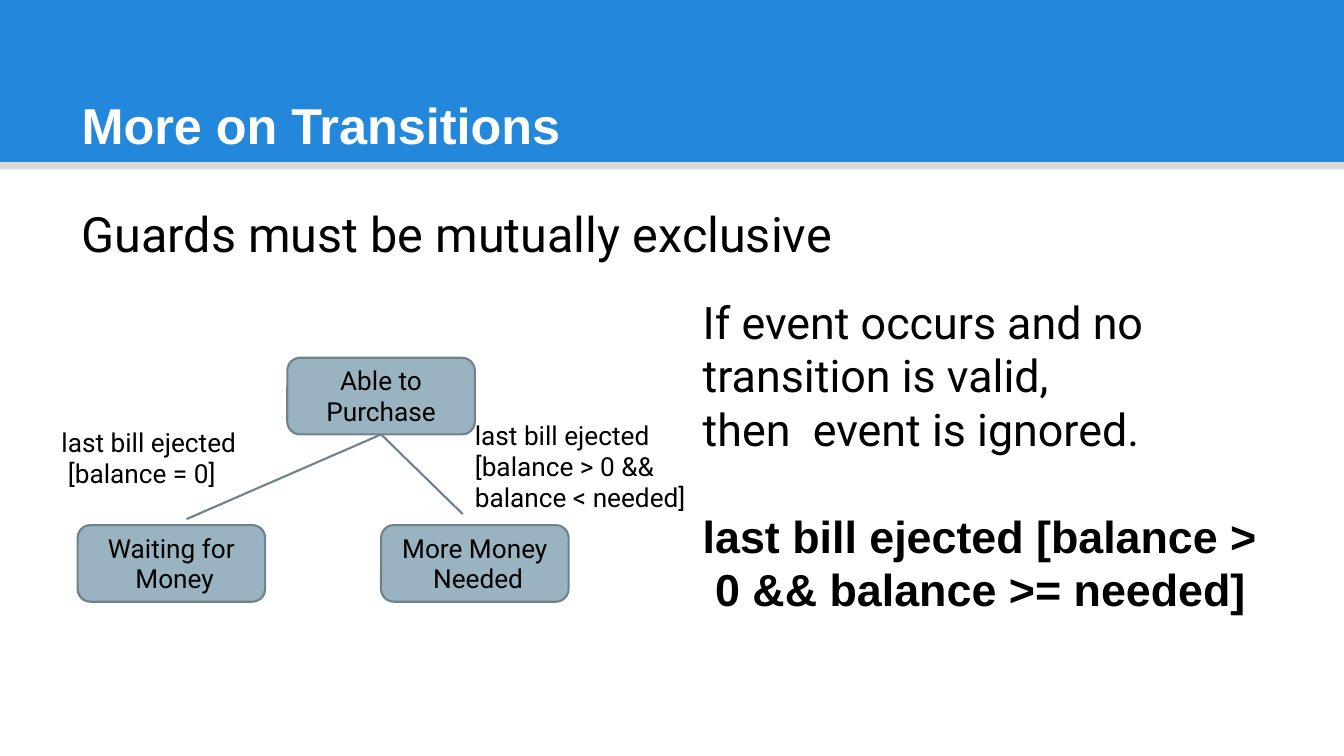
from lxml import etree
from pptx import Presentation
from pptx.dml.color import RGBColor
from pptx.enum.shapes import MSO_CONNECTOR, MSO_SHAPE
from pptx.enum.text import MSO_ANCHOR, MSO_AUTO_SIZE, PP_ALIGN
from pptx.oxml.ns import qn
from pptx.util import Inches, Pt

RECT, ROUNDED = MSO_SHAPE.RECTANGLE, MSO_SHAPE.ROUNDED_RECTANGLE
STRAIGHT = MSO_CONNECTOR.STRAIGHT
LEFT, CENTER = PP_ALIGN.LEFT, PP_ALIGN.CENTER
TOP, MIDDLE = MSO_ANCHOR.TOP, MSO_ANCHOR.MIDDLE
NO_FIT = MSO_AUTO_SIZE.NONE
BLUE, GRAY = "2388DB", "D9D9D9"
STATE_FILL, STATE_LINE = "99B3C1", "6F828C"
STATE_W, STATE_H = 1.86, 0.76


def rgb(color):
    """Turn a hex string into a colour."""
    return RGBColor.from_string(color)


def set_text(sp, text, size=18.7, font="Roboto", color="000000", bold=False,
             align=LEFT, anchor=TOP, spacing=None, before=0, inset=0):
    """Write formatted text into a shape; a vertical tab breaks the line."""
    tf = sp.text_frame
    tf.word_wrap = True
    tf.auto_size = NO_FIT
    tf.vertical_anchor = anchor
    tf.margin_left = tf.margin_right = tf.margin_bottom = 0
    tf.margin_top = Inches(inset)
    p = tf.paragraphs[0]
    p.text = text
    p.alignment = align
    p.space_before = Pt(before)
    if spacing:
        p.line_spacing = Pt(spacing)
    for r in p.runs:
        r.font.size = Pt(size)
        r.font.name = font
        r.font.bold = bold
        r.font.color.rgb = rgb(color)


def add_text(s, x, y, w, h, text, **fmt):
    """Add a text box."""
    sp = s.shapes.add_textbox(Inches(x), Inches(y), Inches(w), Inches(h))
    set_text(sp, text, **fmt)


def add_box(s, kind, x, y, w, h, fill, line=None):
    """Add a filled shape, outlined when a line colour is given."""
    sp = s.shapes.add_shape(kind, Inches(x), Inches(y), Inches(w), Inches(h))
    sp.shadow.inherit = False
    sp.fill.solid()
    sp.fill.fore_color.rgb = rgb(fill)
    if line:
        sp.line.color.rgb = rgb(line)
        sp.line.width = Pt(1.5)
    else:
        sp.line.fill.background()
    return sp


def add_state(s, x, y, text):
    """Add a rounded state box with its name."""
    sp = add_box(s, ROUNDED, x, y, STATE_W, STATE_H, STATE_FILL, STATE_LINE)
    set_text(sp, text, align=CENTER, anchor=MIDDLE, spacing=22)
    return sp


def add_transition(s, state, x, y):
    """Draw a line from the bottom of a state to a point."""
    line = s.shapes.add_connector(STRAIGHT, 0, 0, Inches(x), Inches(y))
    line.begin_connect(state, 2)
    line.line.color.rgb = rgb(STATE_LINE)
    line.line.width = Pt(1.5)
    etree.SubElement(line.element.spPr, qn("a:effectLst"))


def add_header(s, text):
    """Place the title on its banner."""
    title = s.shapes.title
    for y, h, color in ((0, 1.61, BLUE), (1.61, 0.07, GRAY)):
        bar = add_box(s, RECT, 0, y, 13.33, h, color)
        title.element.addprevious(bar.element)
    title.left, title.top = Inches(0.81), Inches(0.91)
    title.width, title.height = Inches(6.35), Inches(0.62)
    set_text(title, text, size=36, font="Arial", color="FFFFFF", bold=True,
             before=1.3, inset=0.02)


def main():
    """Build the slide on state transitions."""
    prs = Presentation()
    prs.slide_width, prs.slide_height = Inches(13.33), Inches(7.5)
    s = prs.slides.add_slide(prs.slide_layouts[5])
    add_header(s, "More on Transitions")

    add_text(s, 0.81, 2, 10.54, 0.65, "Guards must be mutually exclusive",
             size=34.7, before=1.3, inset=0.02)
    body = {"size": 32, "spacing": 38, "before": 2.9, "inset": 0.04}
    add_text(s, 6.97, 2.89, 5.6, 1.64,
             "If event occurs and no\vtransition is valid,\v"
             "then  event is ignored.", **body)
    add_text(s, 6.97, 5.01, 5.8, 1.11,
             "last bill ejected [balance >\v 0 && balance >= needed]",
             font="Arial", bold=True, **body)

    able = add_state(s, 2.85, 3.55, "Able to\vPurchase")
    add_state(s, 0.77, 5.21, "Waiting for\v Money")
    add_state(s, 3.78, 5.21, "More Money\v Needed")
    add_transition(s, able, 1.85, 5.15)
    add_transition(s, able, 4.59, 5.1)

    guard = {"spacing": 22, "before": 2.4, "inset": 0.03}
    add_text(s, 0.61, 4.21, 1.85, 0.65,
             "last bill ejected\v [balance = 0]", **guard)
    add_text(s, 4.71, 4.14, 2.2, 0.96,
             "last bill ejected\v[balance > 0 &&\vbalance < needed]", **guard)
    prs.save("out.pptx")


if __name__ == "__main__":
    main()
